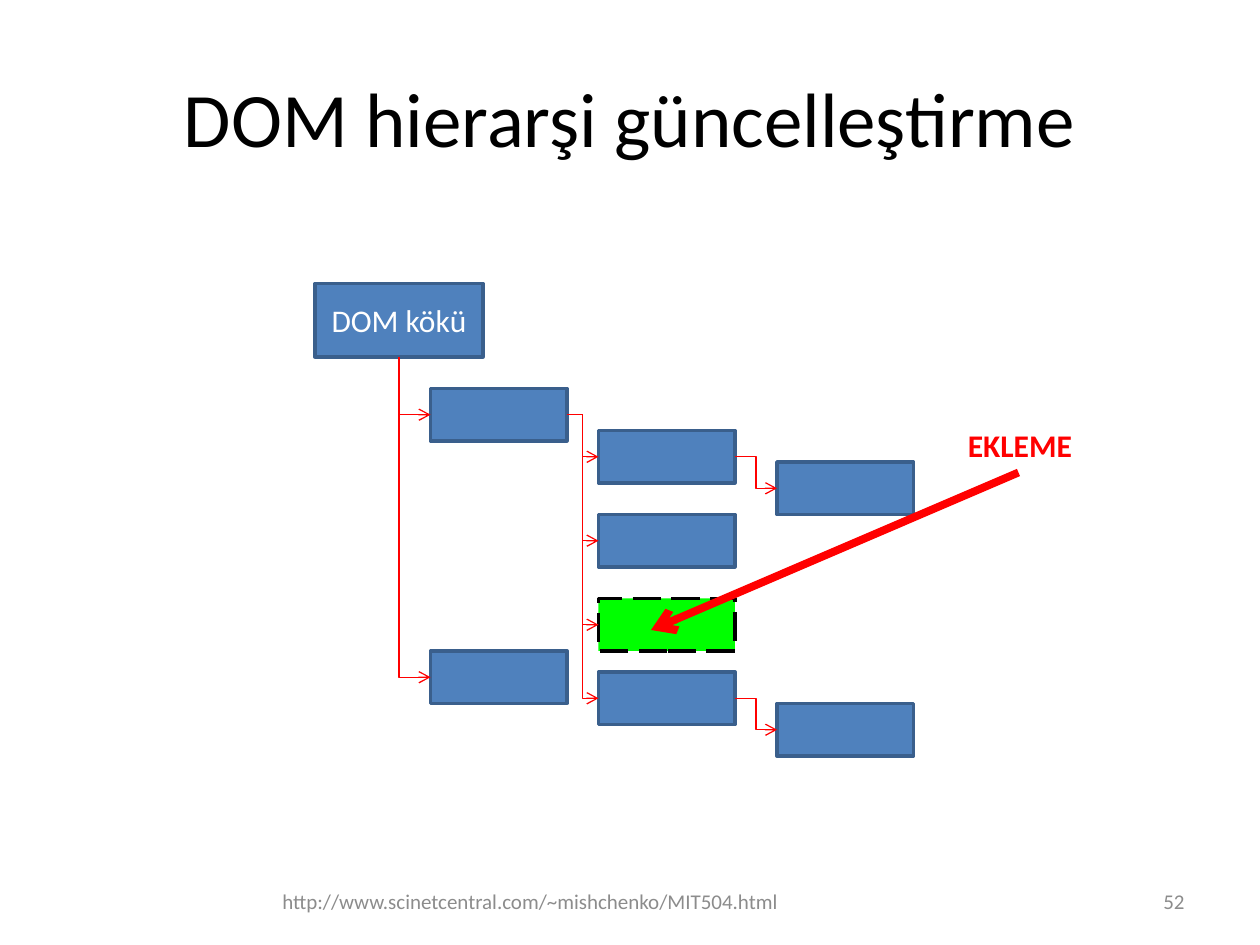
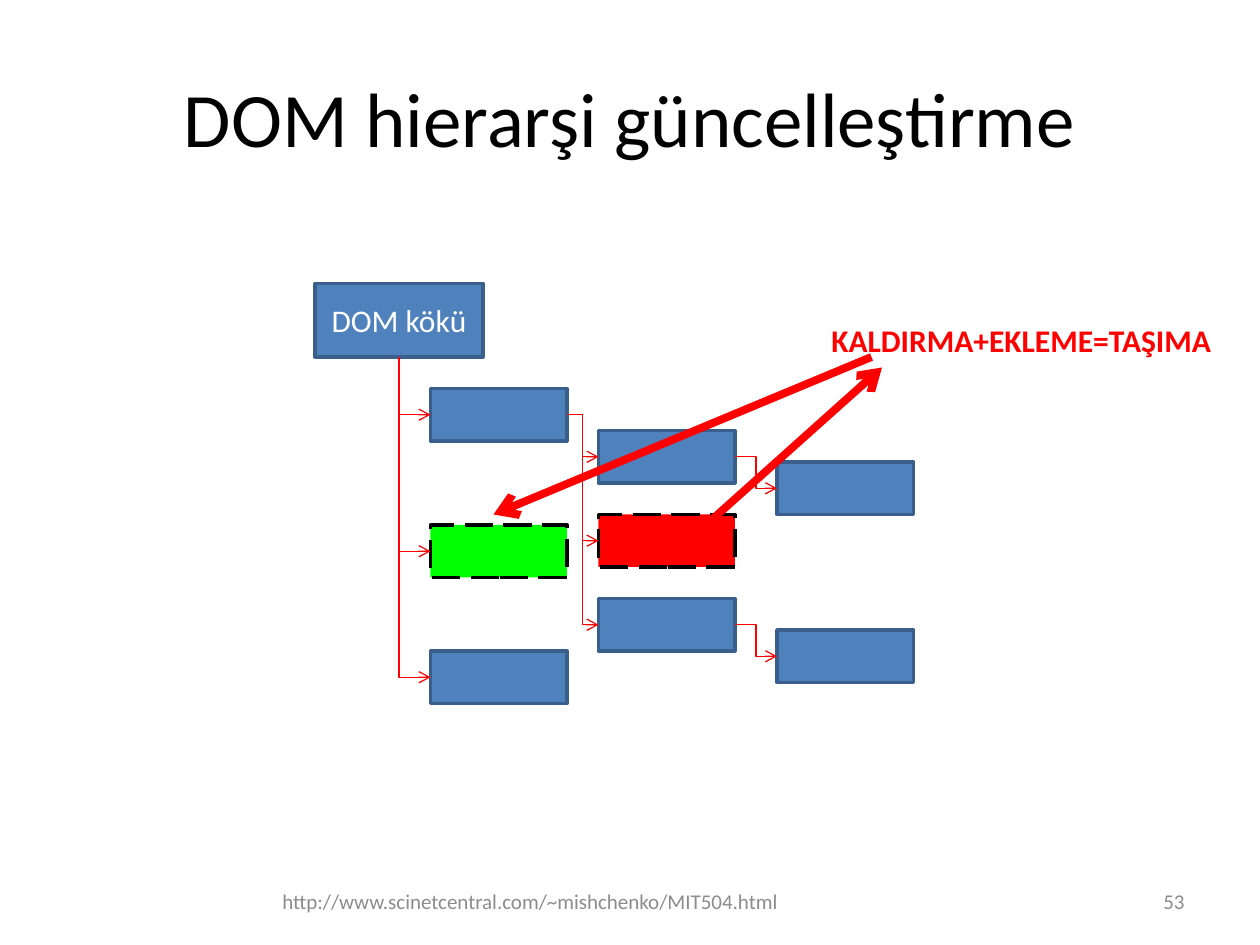
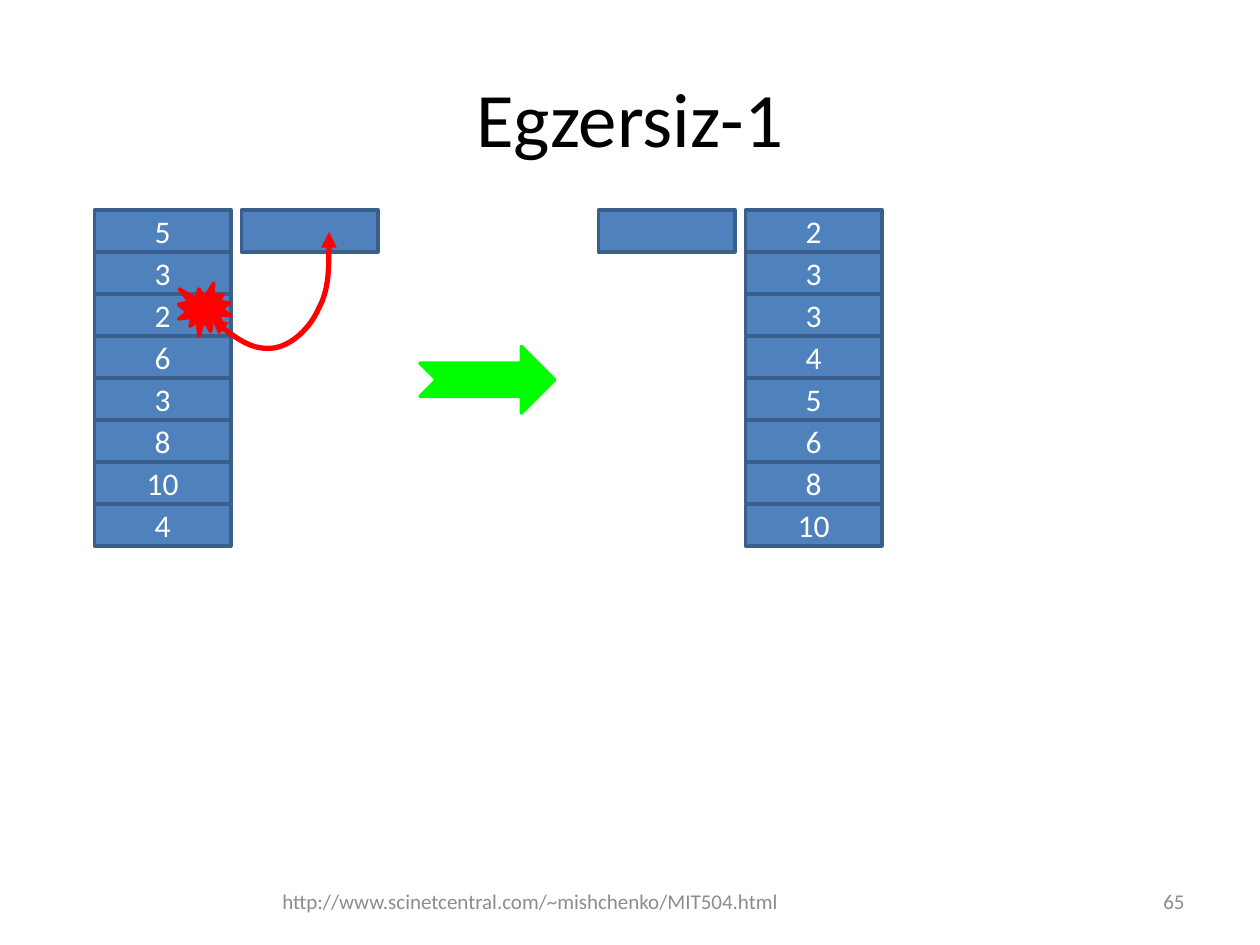
"""Build three Turkish lecture slides on DOM updates and a sorting exercise."""
from lxml import etree
from pptx import Presentation
from pptx import util as u
from pptx.dml.color import RGBColor
from pptx.enum import dml, shapes, text
from pptx.oxml import ns

FONT = "Calibri"
RED, GREEN, BLUE, NAVY = "FF0000", "00FF00", "4F81BD", "3A5F8C"
BLACK, WHITE, GRAY = "000000", "FFFFFF", "8C8C8C"
LEFT, CENTER, RIGHT = text.PP_ALIGN.LEFT, text.PP_ALIGN.CENTER, text.PP_ALIGN.RIGHT
FOOTER = "http://www.scinetcentral.com/~mishchenko/MIT504.html"
DASH = dml.MSO_LINE.LONG_DASH
KIND = shapes.MSO_SHAPE
STYLES = {
    "node": (KIND.RECTANGLE, BLUE, NAVY, None),
    "added": (KIND.RECTANGLE, GREEN, BLACK, DASH),
    "removed": (KIND.RECTANGLE, RED, BLACK, DASH),
    "burst": (KIND.EXPLOSION1, RED, RED, None),
    "result": (KIND.NOTCHED_RIGHT_ARROW, GREEN, GREEN, None),
}


def color(code):
    return RGBColor.from_string(code)


def write(box, words, size=18, ink=WHITE, bold=False, align=CENTER,
          anchor=text.MSO_ANCHOR.MIDDLE, wrap=True):
    frame = box.text_frame
    frame.word_wrap = wrap
    frame.vertical_anchor = anchor
    para = frame.paragraphs[0]
    para.alignment = align
    span = para.add_run()
    span.text = words
    span.font.name, span.font.size, span.font.bold = FONT, u.Pt(size), bold
    span.font.color.rgb = color(ink)


root = ("node", 180, 162, 96, 42, "DOM kökü")
insert_tree = [root] + [
    (style, left, top, 78, 30, "") for style, left, top in [
        ("node", 246, 222), ("node", 246, 372),
        ("node", 342, 246), ("node", 342, 294), ("added", 342, 342), ("node", 342, 384),
        ("node", 444, 264), ("node", 444, 402)]]
move_tree = [root] + [
    (style, left, top, 78, 30, "") for style, left, top in [
        ("node", 246, 222), ("added", 246, 300), ("node", 246, 372),
        ("node", 342, 246), ("removed", 342, 294), ("node", 342, 342),
        ("node", 444, 264), ("node", 444, 360)]]
columns = [(54, "5 3 2 6 3 8 10 4"), (426, "2 3 3 4 5 6 8 10")]
sorting = [("node", left, 120 + 24 * row, 78, 24, number)
           for left, numbers in columns
           for row, number in enumerate(numbers.split())]
sorting += [("node", left, 120, 78, 24, "") for left in (138, 342)]
sorting += [("burst", 102, 162, 30, 30, ""), ("result", 240, 198, 77, 38, "")]
curve_points = [(121, 182), (132, 192), (145, 200), (155.5, 199), (166, 198),
                (177, 188), (182, 176.5), (188, 165.5), (188, 149), (188, 132.5)]

pages = [
    dict(title="DOM hierarşi güncelleştirme", number="52", boxes=insert_tree,
         links=[(0, 1), (0, 2), (1, 3), (1, 4), (1, 5), (1, 6), (3, 7), (6, 8)],
         arrows=[(582, 270, 372, 360)], labels=[("EKLEME", 546, 240, 75)], curves=[]),
    dict(title="DOM hierarşi güncelleştirme", number="53", boxes=move_tree,
         links=[(0, 1), (0, 2), (0, 3), (1, 4), (1, 5), (1, 6), (4, 7), (6, 8)],
         arrows=[(390, 312, 504, 210), (498, 204, 282, 294)],
         labels=[("KALDIRMA+EKLEME=TAŞIMA", 468, 180, 233)], curves=[]),
    dict(title="Egzersiz-1", number="65", boxes=sorting, links=[], arrows=[],
         labels=[], curves=[curve_points]),
]

deck = Presentation()
deck.slide_width, deck.slide_height = u.Pt(720), u.Pt(540)

for content in pages:
    page = deck.slides.add_slide(deck.slide_layouts[5])
    title = page.shapes.title
    title.left, title.top, title.width, title.height = map(u.Pt, (36, 21.6, 648, 90))
    write(title, content["title"], size=44, ink=BLACK)
    for words, left, width, align in [(FOOTER, 132, 342, CENTER),
                                      (content["number"], 516, 168, RIGHT)]:
        box = page.shapes.add_textbox(u.Pt(left), u.Pt(500.5), u.Pt(width), u.Pt(28.75))
        write(box, words, size=12, ink=GRAY, align=align)

    boxes = []
    for style, left, top, width, height, words in content["boxes"]:
        kind, fill, outline, dash = STYLES[style]
        box = page.shapes.add_shape(kind, *map(u.Pt, (left, top, width, height)))
        box.shadow.inherit = False
        box.fill.solid()
        box.fill.fore_color.rgb = color(fill)
        box.line.color.rgb = color(outline)
        box.line.width = u.Pt(2)
        box.line.dash_style = dash
        if words:
            write(box, words)
        boxes.append(box)

    strokes = []
    for parent, child in content["links"]:
        link = page.shapes.add_connector(shapes.MSO_CONNECTOR.ELBOW, 0, 0, 0, 0)
        link.begin_connect(boxes[parent], 2 if parent == 0 else 3)
        link.end_connect(boxes[child], 1)
        if parent == 0:
            across, down = link.width, link.height
            link.left += (across - down) // 2
            link.top += (down - across) // 2
            link.width, link.height = down, across
            frame = link.element.spPr.find(ns.qn("a:xfrm"))
            frame.set("rot", "16200000")
            frame.set("flipH", "1")
            link.element.spPr.find(ns.qn("a:prstGeom")).set("prst", "bentConnector2")
        strokes.append((link, 0.75, {"tailEnd": "arrow"}))

    for ends in content["arrows"]:
        arrow = page.shapes.add_connector(shapes.MSO_CONNECTOR.STRAIGHT, *map(u.Pt, ends))
        strokes.append((arrow, 4.5, {"tailEnd": "arrow"}))

    for points in content["curves"]:
        points = [(u.Pt(x), u.Pt(y)) for x, y in points]
        builder = page.shapes.build_freeform(*points[0])
        builder.add_line_segments(points[1:], close=False)
        curve = builder.convert_to_shape()
        curve.fill.background()
        segments = list(curve.element.iter(ns.qn("a:lnTo")))
        for first in range(0, len(segments), 3):
            bezier = etree.SubElement(segments[first].getparent(), ns.qn("a:cubicBezTo"))
            for segment in segments[first:first + 3]:
                bezier.append(segment[0])
                segment.getparent().remove(segment)
        strokes.append((curve, 3, {"headEnd": "triangle", "tailEnd": "triangle"}))

    for stroke, width, tips in strokes:
        stroke.line.color.rgb = color(RED)
        stroke.line.width = u.Pt(width)
        outline = stroke.element.spPr.find(ns.qn("a:ln"))
        for end, tip in tips.items():
            etree.SubElement(outline, ns.qn(f"a:{end}"), type=tip)
        etree.SubElement(stroke.element.spPr, ns.qn("a:effectLst"))

    for words, left, top, width in content["labels"]:
        label = page.shapes.add_textbox(u.Pt(left), u.Pt(top), u.Pt(width), u.Pt(29))
        write(label, words, ink=RED, bold=True, align=LEFT,
              anchor=text.MSO_ANCHOR.TOP, wrap=False)
        label.text_frame.auto_size = text.MSO_AUTO_SIZE.SHAPE_TO_FIT_TEXT

deck.save("out.pptx")
